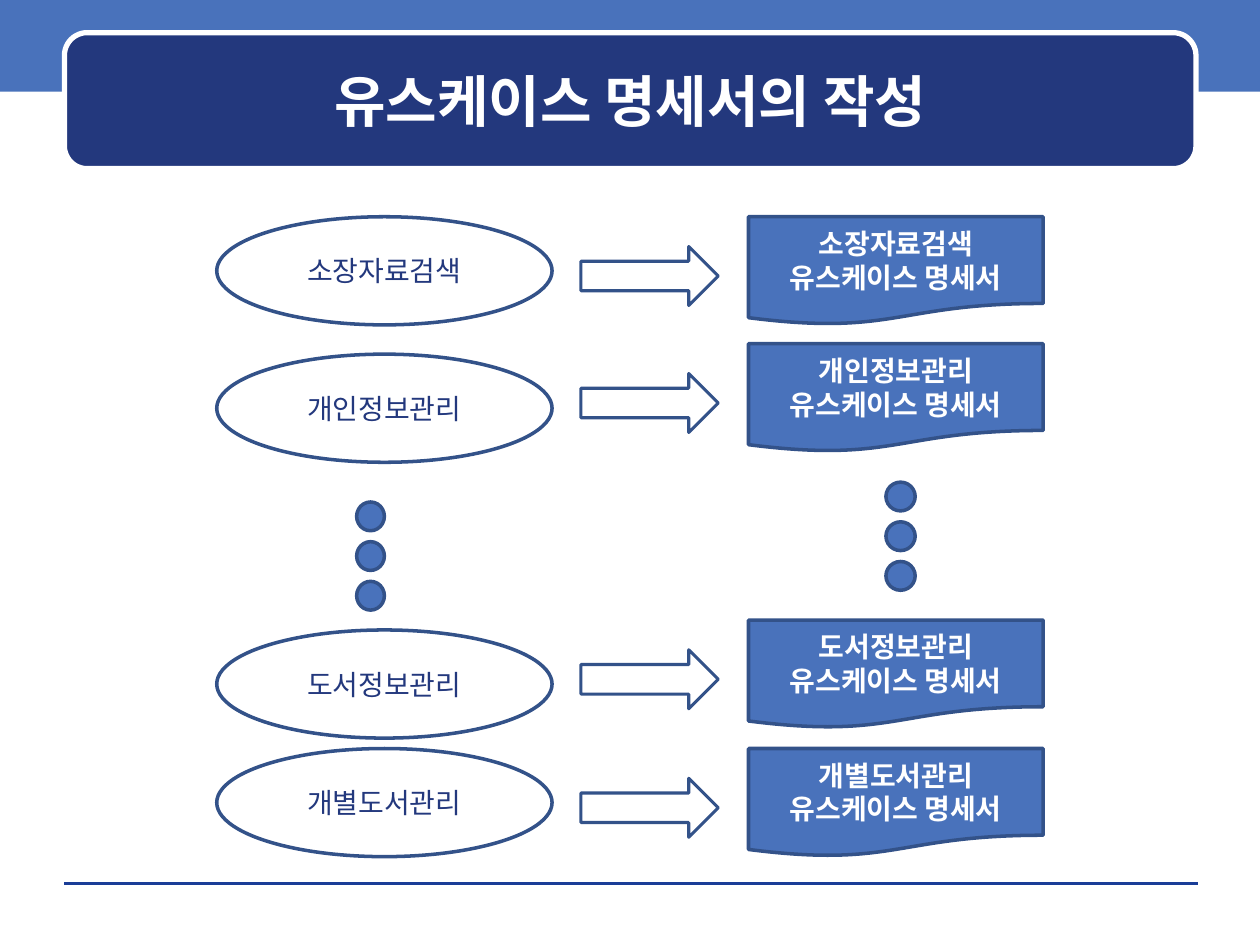
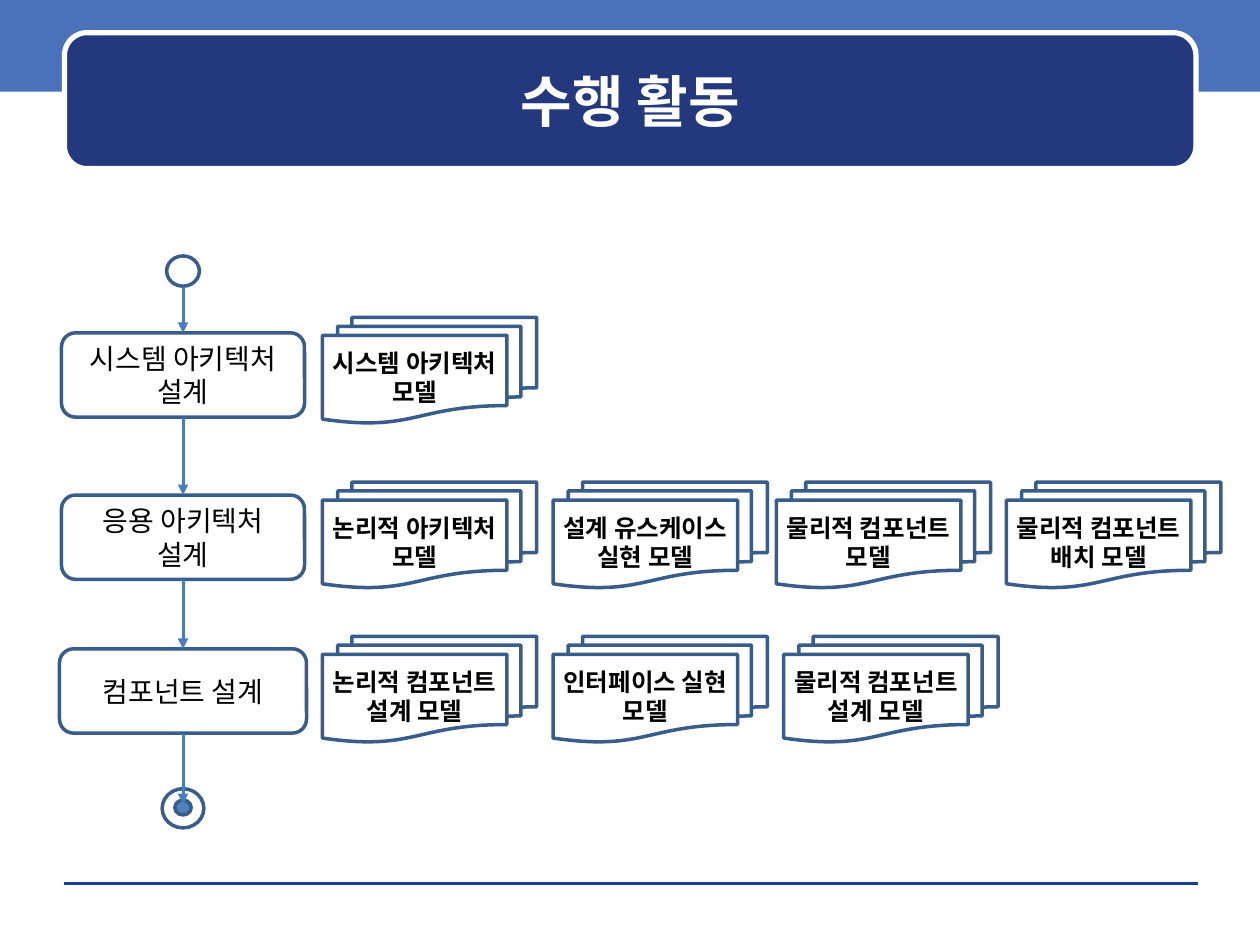
"""Build two slides on use case specifications and design activities."""
from itertools import pairwise

from lxml.etree import SubElement
from pptx import Presentation
from pptx.dml.color import RGBColor
from pptx.enum.shapes import MSO_CONNECTOR, MSO_SHAPE
from pptx.enum.text import MSO_ANCHOR, PP_ALIGN
from pptx.oxml.ns import qn
from pptx.util import Cm, Pt

FONT = "Noto Sans CJK KR"
BLUE = RGBColor(0x49, 0x72, 0xBB)
NAVY = RGBColor(0x23, 0x38, 0x7D)
RULE = RGBColor(0x1A, 0x3D, 0x97)
OUTLINE = RGBColor(0x33, 0x52, 0x89)
FLOW_OUTLINE = RGBColor(0x38, 0x5D, 0x8A)
FLOW_ARROW = RGBColor(0x4A, 0x7E, 0xBB)
FLOW_FILL = RGBColor(0x4F, 0x81, 0xBD)
WHITE = RGBColor(0xFF, 0xFF, 0xFF)
BLACK = RGBColor(0x00, 0x00, 0x00)


def write_text(shape, text, size, color, bold=False):
    """Write centred paragraphs, one per line of text."""
    frame = shape.text_frame
    frame.word_wrap = True
    frame.vertical_anchor = MSO_ANCHOR.MIDDLE
    frame.text = text
    for paragraph in frame.paragraphs:
        paragraph.alignment = PP_ALIGN.CENTER
        font = paragraph.font
        font.name, font.size, font.bold = FONT, Pt(size), bold
        font.color.rgb = color
    for latin in list(shape.element.iter(qn("a:latin"))):
        east_asian = SubElement(latin.getparent(), qn("a:ea"), typeface=FONT)
        latin.addnext(east_asian)


def add_figure(shapes, kind, left, top, width, height, fill=None, line=None, weight=2):
    """Add a preset shape, measured in centimetres."""
    shape = shapes.add_shape(kind, Cm(left), Cm(top), Cm(width), Cm(height))
    shape.shadow.inherit = False
    if fill is None:
        shape.fill.background()
    else:
        shape.fill.solid()
        shape.fill.fore_color.rgb = fill
    if line is None:
        shape.line.fill.background()
    else:
        shape.line.color.rgb = line
        shape.line.width = Pt(weight)
    return shape


def add_line(shapes, start, end, color, weight, arrow=False):
    """Add a straight line between two points in centimetres."""
    points = [Cm(value) for value in (*start, *end)]
    connector = shapes.add_connector(MSO_CONNECTOR.STRAIGHT, *points)
    connector.line.color.rgb = color
    connector.line.width = Pt(weight)
    if arrow:
        SubElement(connector.line._get_or_add_ln(), qn("a:tailEnd"), type="triangle")
    SubElement(connector.element.spPr, qn("a:effectLst"))
    return connector


def decorate_layout(layout, slide):
    """Put the band, footer rule, title panel and title position on the layout."""
    shapes = slide.shapes
    decorations = [
        add_figure(shapes, MSO_SHAPE.RECTANGLE, 0, -0.08, 25.4, 1.93, BLUE),
        add_line(shapes, (1.3, 17.81), (24.16, 17.81), RULE, 0),
        add_figure(shapes, MSO_SHAPE.ROUNDED_RECTANGLE, 1.3, 0.66, 22.81, 2.74, NAVY, WHITE, 3),
    ]
    for number, shape in enumerate(decorations, start=101):
        shape.element.xpath(".//p:cNvPr")[0].set("id", str(number))
        layout.shapes.element.append(shape.element)
    title = layout.placeholders[0]
    title.left, title.top = Cm(1.52), Cm(0.89)
    title.width, title.height = Cm(22.38), Cm(2.24)


def add_use_case(shapes, name, ellipse_top, document_top):
    """Add a use case, its arrow and its specification document."""
    ellipse = add_figure(shapes, MSO_SHAPE.OVAL, 4.37, ellipse_top, 6.76, 2.18, line=OUTLINE)
    ellipse.text_frame.margin_left = ellipse.text_frame.margin_right = 0
    write_text(ellipse, name, 16, NAVY)
    document = add_figure(shapes, MSO_SHAPE.FLOWCHART_DOCUMENT, 15.09, document_top,
                          5.94, 2.18, BLUE, OUTLINE)
    write_text(document, f"{name}\n유스케이스 명세서", 16, WHITE, True)
    add_figure(shapes, MSO_SHAPE.RIGHT_ARROW, 11.71, document_top + 0.6, 2.77, 1.19,
               line=OUTLINE, weight=1.75)


def add_dots(shapes, left, top, width):
    """Add a group of three dots running down."""
    group = shapes.add_group_shape()
    for index in range(3):
        add_figure(group.shapes, MSO_SHAPE.OVAL, left, top + 0.8 * index, width, 0.58,
                   BLUE, OUTLINE)


def add_activity_flow(shapes, center, activities):
    """Add the start, the activities, the end and the arrows between them."""
    def add_node(kind, top, width, height, fill=None):
        return add_figure(shapes, kind, center - width / 2, top, width, height,
                          fill, FLOW_OUTLINE)

    add_node(MSO_SHAPE.FLOWCHART_CONNECTOR, 5.16, 0.66, 0.61)
    spans = [(5.16, 5.78)]
    for name, top, width in activities:
        box = add_node(MSO_SHAPE.FLOWCHART_ALTERNATE_PROCESS, top, width, 1.7)
        write_text(box, name, 16, BLACK)
        spans.append((top, top + 1.71))
    add_node(MSO_SHAPE.FLOWCHART_CONNECTOR, 16.13, 0.33, 0.3, FLOW_FILL)
    add_node(MSO_SHAPE.FLOWCHART_CONNECTOR, 15.9, 0.84, 0.79)
    spans.append((16.21, 16.43))
    for (_, start), (end, _) in pairwise(spans):
        add_line(shapes, (center, start), (center, end), FLOW_ARROW, 1.75, arrow=True)


def add_model(shapes, name, left, top):
    """Add a stack of documents for a design model."""
    model = add_figure(shapes, MSO_SHAPE.FLOWCHART_MULTIDOCUMENT, left, top, 4.32, 2.13,
                       line=FLOW_OUTLINE)
    model.text_frame.margin_left = model.text_frame.margin_right = 0
    write_text(model, name, 14, BLACK, True)


def fill_specification_slide(slide):
    """Show the use cases and their specifications."""
    write_text(slide.shapes.title, "유스케이스 명세서의 작성", 32, WHITE, True)
    for name, ellipse_top, document_top in [
        ("소장자료검색", 4.37, 4.37),
        ("개인정보관리", 7.14, 6.93),
        ("도서정보관리", 12.7, 12.5),
        ("개별도서관리", 15.09, 15.09),
    ]:
        add_use_case(slide.shapes, name, ellipse_top, document_top)
    add_dots(slide.shapes, 7.19, 10.12, 0.56)
    add_dots(slide.shapes, 17.86, 9.72, 0.59)


def fill_activity_slide(slide):
    """Show the design activities and the models they produce."""
    write_text(slide.shapes.title, "수행 활동", 32, WHITE, True)
    shapes = slide.shapes.add_group_shape().shapes
    add_activity_flow(shapes, 3.69, [
        ("시스템 아키텍처 설계", 6.71, 4.9),
        ("응용 아키텍처 설계", 9.98, 4.9),
        ("컴포넌트 설계", 13.08, 4.98),
    ])
    model_rows = [
        (6.4, [("시스템 아키텍처\n모델", 6.5)]),
        (9.72, [("논리적 아키텍처\n모델", 6.5), ("설계 유스케이스\n실현 모델", 11.15),
                ("물리적 컴포넌트\n모델", 15.65), ("물리적 컴포넌트\n배치 모델", 20.29)]),
        (12.83, [("논리적 컴포넌트\n설계 모델", 6.5), ("인터페이스 실현\n모델", 11.15),
                 ("물리적 컴포넌트\n설계 모델", 15.8)]),
    ]
    for top, models in model_rows:
        for name, left in models:
            add_model(shapes, name, left, top)


def main():
    """Build and save the presentation."""
    presentation = Presentation()
    presentation.slide_width, presentation.slide_height = Cm(25.4), Cm(19.05)
    layout = presentation.slide_layouts[5]
    specification_slide = presentation.slides.add_slide(layout)
    activity_slide = presentation.slides.add_slide(layout)
    decorate_layout(layout, specification_slide)
    fill_specification_slide(specification_slide)
    fill_activity_slide(activity_slide)
    presentation.save("out.pptx")


if __name__ == "__main__":
    main()
